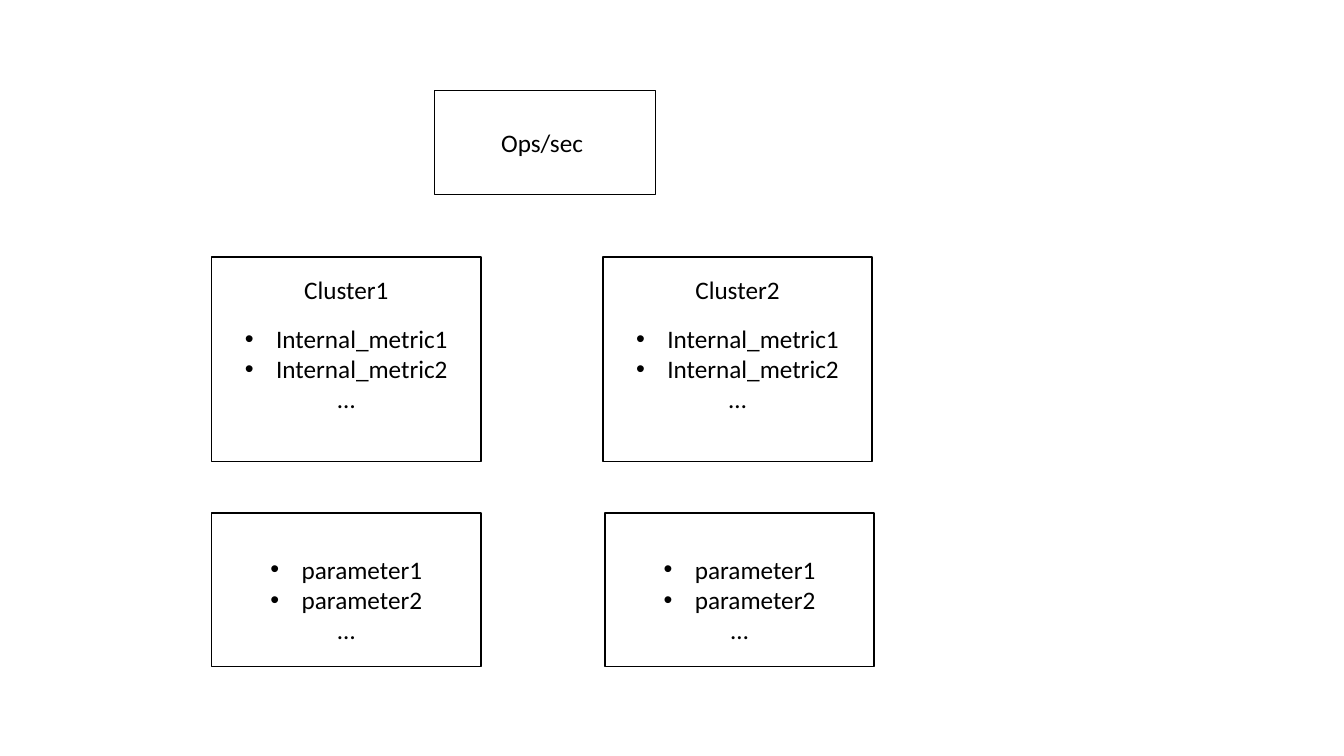
"""Build a slide of throughput, cluster metrics and parameters."""
from lxml.etree import SubElement
from pptx import Presentation
from pptx.dml.color import RGBColor
from pptx.enum.shapes import MSO_SHAPE as Shape
from pptx.enum.text import MSO_ANCHOR as Anchor, PP_ALIGN as Align
from pptx.oxml.ns import qn
from pptx.util import Inches, Pt

BLACK = RGBColor(0, 0, 0)
WHITE = RGBColor(255, 255, 255)
FONT = "Calibri"
INDENT = Inches(0.31)

METRICS = ["Internal_metric1", "Internal_metric2"]
PARAMETERS = ["parameter1", "parameter2"]
CLUSTERS = [("Cluster1", 2.1, 2.1), ("Cluster2", 5.98, 6)]
WIDTH = 2.67
METRIC_ROW = {"top": 2.55, "height": 2.03, "insets": (0.05, 0.35)}
PARAMETER_ROW = {"top": 5.09, "height": 1.52, "insets": (0.24, 0.05)}


def add_bullet(p):
    pPr = p._p.get_or_add_pPr()
    pPr.set("marL", str(INDENT))
    pPr.set("indent", str(-INDENT))
    SubElement(pPr, qn("a:buFont")).set("typeface", "Arial")
    SubElement(pPr, qn("a:buChar")).set("char", "•")


def add_box(s, left, top, width, height, heading="", items=(), insets=(0.05, 0.05)):
    sp = s.shapes.add_shape(Shape.RECTANGLE, *map(Inches, (left, top, width, height)))
    sp.shadow.inherit = False
    sp.fill.solid()
    sp.fill.fore_color.rgb = WHITE
    sp.line.color.rgb = BLACK
    sp.line.width = Pt(1)

    tf = sp.text_frame
    tf.word_wrap = True
    tf.vertical_anchor = Anchor.MIDDLE
    tf.margin_top, tf.margin_bottom = map(Inches, insets)
    lines = [heading] if heading else []
    if items:
        lines += [*items, "…"]
    tf.text = "\n".join(lines)
    for p in tf.paragraphs:
        p.alignment = Align.CENTER
        if p.text in items:
            add_bullet(p)
        elif p.text == heading and items:
            p.space_after = Pt(13.4)
        for r in p.runs:
            r.font.name = FONT
            r.font.size = Pt(18)
            r.font.color.rgb = BLACK


prs = Presentation()
prs.slide_width, prs.slide_height = Inches(13.33), Inches(7.5)
s = prs.slides.add_slide(prs.slide_layouts[6])

add_box(s, 4.31, 0.9, 2.19, 1.03, heading="Ops/sec ")
for name, metric_left, parameter_left in CLUSTERS:
    add_box(s, left=metric_left, width=WIDTH, heading=name, items=METRICS, **METRIC_ROW)
    add_box(s, left=parameter_left, width=WIDTH, items=PARAMETERS, **PARAMETER_ROW)

prs.save("out.pptx")
